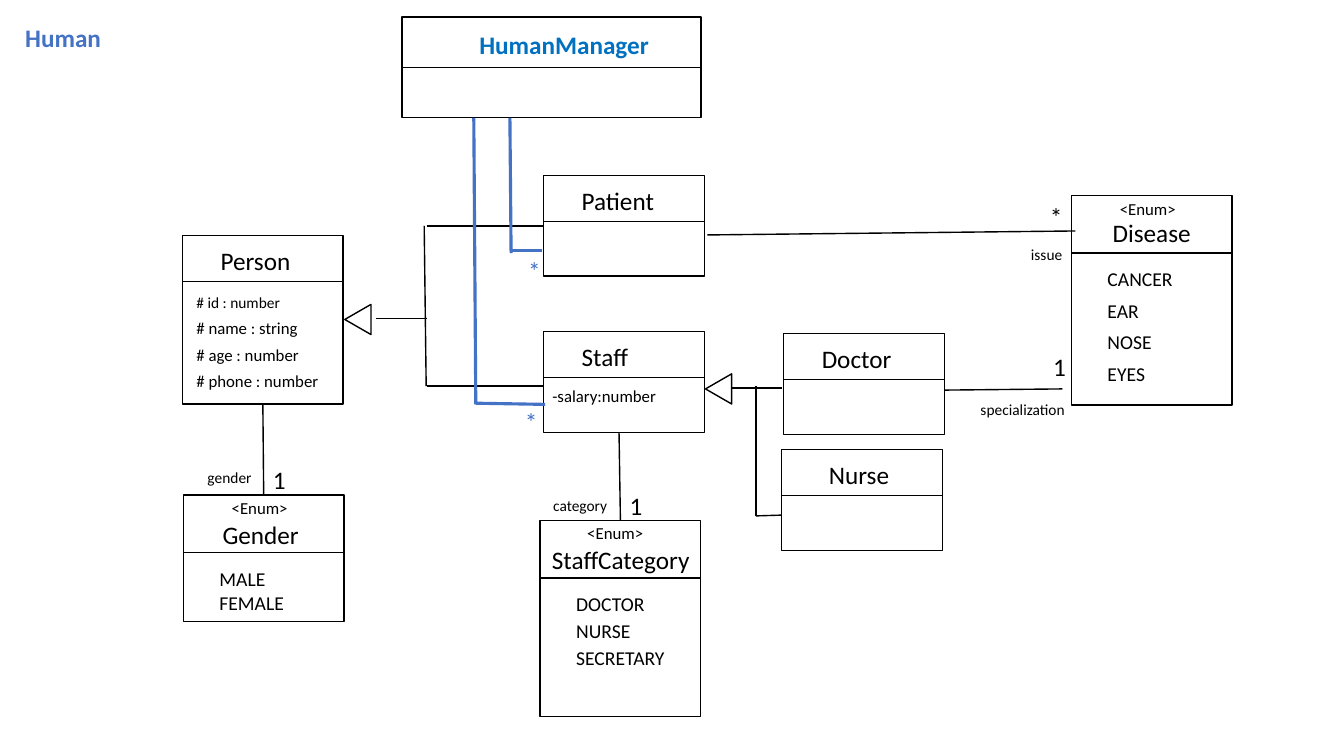
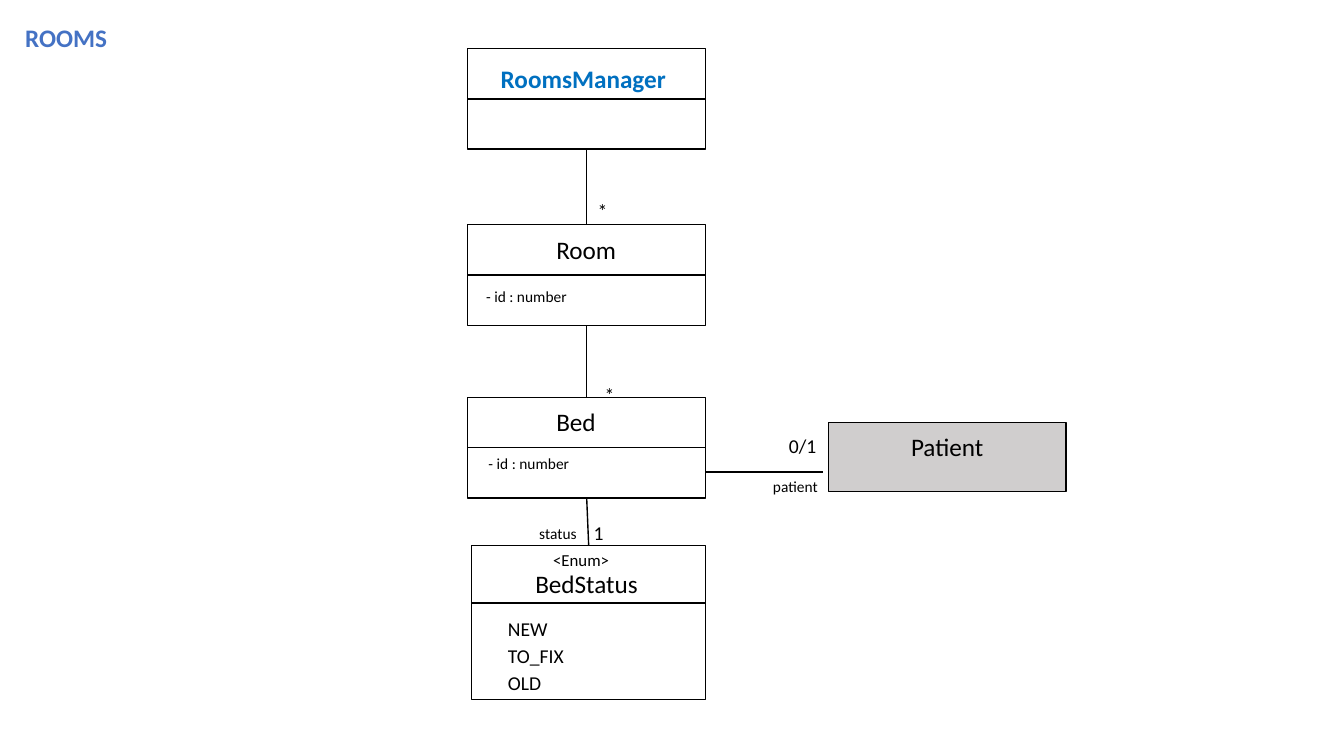
from dataclasses import dataclass

from lxml import etree
from pptx import Presentation
from pptx.dml.color import RGBColor as Rgb
from pptx.enum.shapes import MSO_CONNECTOR as Connector, MSO_SHAPE as Preset
from pptx.enum.text import MSO_ANCHOR as Anchor, MSO_AUTO_SIZE as AutoSize, PP_ALIGN as Align
from pptx.oxml.ns import qn
from pptx.util import Cm, Pt


@dataclass(frozen=True)
class Theme:
    font: str = "Calibri"
    ink: Rgb = Rgb(0x00, 0x00, 0x00)
    paper: Rgb = Rgb(0xFF, 0xFF, 0xFF)
    accent: Rgb = Rgb(0x44, 0x72, 0xC4)
    manager: Rgb = Rgb(0x00, 0x70, 0xC0)
    external: Rgb = Rgb(0xD0, 0xCE, 0xCE)
    heading: int = 18
    literal: int = 14
    attribute: int = 12
    note: int = 11
    thin: float = 1
    thick: float = 2.25


@dataclass(frozen=True)
class UmlClass:
    """Position and size in cm; the *_at offsets count from the top left corner."""
    name: str
    left: float
    top: float
    width: float = 4.05
    height: float = 2.54
    head: float = 1.16
    name_at: tuple = (0.71, 0.12)
    enum_at: tuple = ()
    members: tuple = ()
    members_at: tuple = (0.66, 1.68)
    gap: float = 0
    manager: bool = False
    external: bool = False


T = Theme()
TOP, LEFT, BOTTOM = 0, 1, 2
ENUM_HEAD, WIDE_HEAD, WIDE = 1.45, 1.27, 5.99


def add_label(slide, lines, left, top, sizes, color=T.ink, bold=False, gap=0):
    """Write one paragraph per line in a text box sized to its content (cm)."""
    width = 0.51 + max(len(line) * size * 0.025 for line, size in zip(lines, sizes))
    height = 0.25 + sum(sizes) * 0.043
    frame = slide.shapes.add_textbox(Cm(left), Cm(top), Cm(width), Cm(height)).text_frame
    frame.word_wrap = True
    frame.text = "\n".join(lines)
    for index, (paragraph, size) in enumerate(zip(frame.paragraphs, sizes)):
        if index:
            paragraph.space_before = Pt(gap)
        font = paragraph.runs[0].font
        font.name, font.size, font.bold = T.font, Pt(size), bold
        font.color.rgb = color


def add_line(slide, boxes, start, end, color=T.ink, weight=T.thin):
    """Draw a line; each end is a point in cm or a (class name, side) pair."""
    points = [(0, 0) if isinstance(spot[0], str) else spot for spot in (start, end)]
    line = slide.shapes.add_connector(
        Connector.STRAIGHT, *(Cm(value) for point in points for value in point))
    for spot, connect in ((start, line.begin_connect), (end, line.end_connect)):
        if isinstance(spot[0], str):
            connect(boxes[spot[0]], spot[1])
    line.line.color.rgb, line.line.width = color, Pt(weight)
    etree.SubElement(line._element.spPr, qn("a:effectLst"))


human = dict(
    title="Human",
    classes=[
        UmlClass("Person", 4.6, 5.94, height=4.24, members_at=(0.1, 1.32), gap=4.5,
                 members=("# id : number", "# name : string",
                          "# age : number", "# phone : number")),
        UmlClass("Patient", 13.7, 4.42),
        UmlClass("Staff", 13.7, 8.36, members=("-salary:number",), members_at=(-0.03, 1.24)),
        UmlClass("Doctor", 19.75, 8.41),
        UmlClass("Nurse", 19.7, 11.33, name_at=(0.94, 0.12)),
        UmlClass("Disease", 27, 4.93, height=5.28, head=ENUM_HEAD, name_at=(0.79, 0.43),
                 enum_at=(0.97, -0.05), members=("CANCER", "EAR", "NOSE", "EYES"), gap=5.7),
        UmlClass("Gender", 4.62, 12.47, height=3.2, head=ENUM_HEAD, name_at=(0.74, 0.48),
                 enum_at=(0.97, -0.05), members=("MALE", "FEMALE"), gap=1),
        UmlClass("StaffCategory", 13.61, 13.11, height=4.95, head=ENUM_HEAD,
                 name_at=(0.05, 0.48), enum_at=(0.94, -0.05),
                 members=("DOCTOR", "NURSE", "SECRETARY"), gap=2.5),
        UmlClass("HumanManager", 10.13, 0.43, 7.54, head=WIDE_HEAD,
                 name_at=(1.7, 0.18), manager=True),
    ],
    inheritance=[(8.64, 7.72), (17.73, 9.47)],
    links=[
        (("Person", BOTTOM), ("Gender", TOP)),
        ((15.6, 10.9), ("StaffCategory", TOP)),
        ((17.83, 5.92), (27.1, 5.82)),
        ((23.8, 9.83), (26.77, 9.8)),
        ((9.47, 8.03), (10.77, 8.03)),
        ((10.74, 9.73), (10.69, 5.69)),
        ((10.77, 5.69), ("Patient", LEFT)),
        ((10.77, 9.73), (13.7, 9.73)),
        ((18.42, 9.78), (19.71, 9.78)),
        ((19.05, 13), (19.05, 9.73)),
        ((19.05, 13), (19.69, 12.98)),
    ],
    manager_links=[
        ((12.88, 6.38), (12.85, 2.97)),
        ((13.67, 6.32), (12.85, 6.32)),
        ((11.99, 10.19), (11.94, 2.97)),
        ((13.74, 10.19), (11.99, 10.16)),
    ],
    labels=[
        ("*", 26.21, 4.95, T.heading, T.ink),
        ("issue", 25.73, 6.05, T.note, T.ink),
        ("1", 26.29, 8.74, T.heading, T.ink),
        ("specialization", 24.46, 9.96, T.note, T.ink),
        ("*", 13.06, 6.3, T.heading, T.accent),
        ("*", 12.98, 10.11, T.heading, T.accent),
        ("1", 6.63, 11.58, T.heading, T.ink),
        ("gender", 4.98, 11.68, T.note, T.ink),
        ("1", 15.62, 12.24, T.heading, T.ink),
        ("category", 13.69, 12.37, T.note, T.ink),
    ],
)

rooms = dict(
    title="ROOMS",
    classes=[
        UmlClass("RoomsManager", 11.79, 1.22, WIDE, head=WIDE_HEAD,
                 name_at=(0.58, 0.25), manager=True),
        UmlClass("Room", 11.79, 5.66, WIDE, head=WIDE_HEAD, name_at=(1.98, 0.11),
                 members=("- id : number",), members_at=(0.21, 1.45)),
        UmlClass("Bed", 11.79, 10.01, WIDE, head=WIDE_HEAD, name_at=(1.98, 0.11),
                 members=("- id : number",), members_at=(0.27, 1.32)),
        UmlClass("Patient", 20.88, 10.64, WIDE, 1.75, name_at=(1.83, 0.11), external=True),
        UmlClass("BedStatus", 11.89, 13.74, 5.89, 3.89, ENUM_HEAD, name_at=(1.35, 0.46),
                 enum_at=(1.8, 0), members=("NEW", "TO_FIX", "OLD"), gap=2.5),
    ],
    inheritance=[],
    links=[
        (("RoomsManager", BOTTOM), ("Room", TOP)),
        (("Room", BOTTOM), ("Bed", TOP)),
        (("Bed", BOTTOM), ("BedStatus", TOP)),
        ((17.78, 11.89), (20.73, 11.89)),
    ],
    manager_links=[],
    labels=[
        ("*", 14.81, 4.9, T.literal, T.ink),
        ("*", 14.99, 9.53, T.literal, T.ink),
        ("0/1", 19.63, 10.8, T.literal, T.ink),
        ("patient", 19.23, 11.89, T.note, T.ink),
        ("1", 14.71, 13, T.literal, T.ink),
        ("status", 13.34, 13.08, T.note, T.ink),
    ],
)

deck = Presentation()
deck.slide_width, deck.slide_height = Cm(33.87), Cm(19.05)

for diagram in (human, rooms):
    slide = deck.slides.add_slide(deck.slide_layouts[5])
    title = slide.shapes.title
    title.left, title.top, title.width, title.height = Cm(0.38), Cm(0.43), Cm(5), Cm(1.02)
    title.text_frame.text = diagram["title"]
    title.text_frame.auto_size = AutoSize.NONE
    title.text_frame.vertical_anchor = Anchor.TOP
    heading = title.text_frame.paragraphs[0]
    heading.alignment = Align.LEFT
    title_font = heading.runs[0].font
    title_font.name, title_font.size, title_font.bold = T.font, Pt(T.heading), True
    title_font.color.rgb = T.accent

    boxes = {}
    for uml in diagram["classes"]:
        box = slide.shapes.add_shape(Preset.RECTANGLE, Cm(uml.left), Cm(uml.top),
                                     Cm(uml.width), Cm(uml.height))
        box.shadow.inherit = False
        box.fill.solid()
        box.fill.fore_color.rgb = T.external if uml.external else T.paper
        box.line.color.rgb, box.line.width = T.ink, Pt(T.thin)
        boxes[uml.name] = box

        if not uml.external:
            divider = uml.top + uml.head
            add_line(slide, boxes, (uml.left, divider), (uml.left + uml.width, divider))
        add_label(slide, [uml.name], uml.left + uml.name_at[0], uml.top + uml.name_at[1],
                  [T.heading], T.manager if uml.manager else T.ink, uml.manager)
        if uml.enum_at:
            add_label(slide, ["<Enum>"], uml.left + uml.enum_at[0],
                      uml.top + uml.enum_at[1], [T.attribute])
        if uml.members:
            sizes = [T.literal if uml.enum_at else T.note if "id :" in member else T.attribute
                     for member in uml.members]
            add_label(slide, uml.members, uml.left + uml.members_at[0],
                      uml.top + uml.members_at[1], sizes, gap=uml.gap)

    for left, top in diagram["inheritance"]:
        arrow = slide.shapes.add_shape(Preset.ISOSCELES_TRIANGLE,
                                       Cm(left), Cm(top), Cm(0.76), Cm(0.66))
        arrow.rotation = 270
        arrow.shadow.inherit = False
        arrow.fill.solid()
        arrow.fill.fore_color.rgb = T.paper
        arrow.line.color.rgb, arrow.line.width = T.ink, Pt(T.thin)

    for start, end in diagram["links"]:
        add_line(slide, boxes, start, end)
    for start, end in diagram["manager_links"]:
        add_line(slide, boxes, start, end, T.accent, T.thick)
    for text, left, top, size, color in diagram["labels"]:
        add_label(slide, [text], left, top, [size], color)

deck.save("out.pptx")
